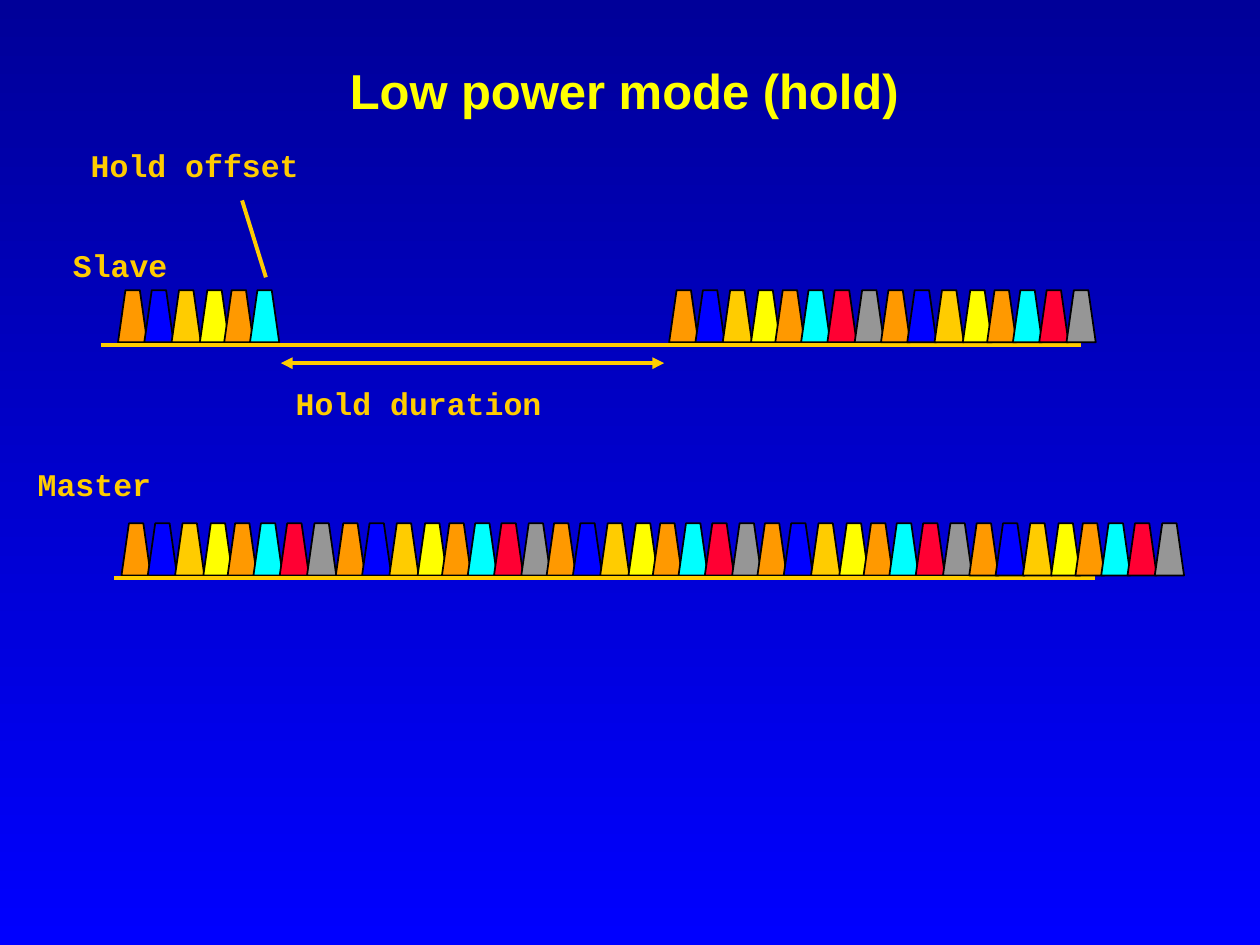
"""Build the slide that shows the hold low power mode of a slave and its master."""
from lxml.etree import SubElement
from pptx import Presentation
from pptx.dml.color import RGBColor
from pptx.enum.shapes import MSO_CONNECTOR
from pptx.enum.text import MSO_ANCHOR, MSO_AUTO_SIZE, PP_ALIGN
from pptx.oxml.ns import qn
from pptx.util import Cm, Pt

NAVY = RGBColor(0x00, 0x00, 0x99)
BLUE = RGBColor(0x00, 0x00, 0xFF)
YELLOW = RGBColor(0xFF, 0xFF, 0x00)
GOLD = RGBColor(0xFF, 0xCC, 0x00)
ORANGE = RGBColor(0xFF, 0x99, 0x00)
CYAN = RGBColor(0x00, 0xFF, 0xFF)
RED = RGBColor(0xFF, 0x00, 0x33)
GREY = RGBColor(0x96, 0x96, 0x96)
BLACK = RGBColor(0x00, 0x00, 0x00)

SLOTS = [
    (0, ORANGE), (0.53, BLUE), (1.08, GOLD), (1.65, YELLOW),
    (2.14, ORANGE), (2.66, CYAN), (3.19, RED), (3.74, GREY),
]
SLOT_WIDTH, SLOT_HEIGHT, SLOT_SLANT = 0.59, 1.05, 0.15
SLAVE_TOP, MASTER_TOP = 5.85, 10.55


def write(frame, text, font="Courier New", size=18, color=GOLD, align=PP_ALIGN.LEFT):
    para = frame.paragraphs[0]
    para.alignment = align
    span = para.add_run()
    span.text = text
    span.font.name = font
    span.font.size = Pt(size)
    span.font.bold = True
    span.font.color.rgb = color


class HoldSlide:
    def __init__(self, deck):
        self.page = deck.slides.add_slide(deck.slide_layouts[5])
        self.line_color = GOLD
        self.line_width = Pt(2.25)

    def background(self, top_color, bottom_color):
        fill = self.page.background.fill
        fill.gradient()
        fill.gradient_angle = 270
        for stop, color in zip(fill.gradient_stops, (top_color, bottom_color)):
            stop.color.rgb = color

    def title(self, text, left, top, width, height):
        box = self.page.shapes.title
        box.left, box.top, box.width, box.height = map(Cm, (left, top, width, height))
        frame = box.text_frame
        frame.margin_left = frame.margin_right = frame.margin_top = frame.margin_bottom = 0
        frame.vertical_anchor = MSO_ANCHOR.MIDDLE
        frame.auto_size = MSO_AUTO_SIZE.NONE
        write(frame, text, font="Arial", size=28, color=YELLOW, align=PP_ALIGN.CENTER)

    def label(self, text, left, top, width):
        box = self.page.shapes.add_textbox(Cm(left), Cm(top), Cm(width), Cm(1.02))
        box.text_frame.word_wrap = False
        box.text_frame.auto_size = MSO_AUTO_SIZE.SHAPE_TO_FIT_TEXT
        write(box.text_frame, text)

    def line(self, start, end, arrows=False):
        connector = self.page.shapes.add_connector(
            MSO_CONNECTOR.STRAIGHT, *map(Cm, (*start, *end)))
        connector.line.color.rgb = self.line_color
        connector.line.width = self.line_width
        properties = connector.element.spPr
        if arrows:
            for tag in ("a:headEnd", "a:tailEnd"):
                SubElement(properties.find(qn("a:ln")), qn(tag), type="triangle")
        SubElement(properties, qn("a:effectLst"))

    def train(self, left, top, count=len(SLOTS)):
        group = self.page.shapes.add_group_shape()
        for offset, color in SLOTS[:count]:
            self.slot(group, left + offset, top, color)

    def slot(self, group, left, top, color):
        right, bottom = left + SLOT_WIDTH, top + SLOT_HEIGHT
        corners = [(left + SLOT_SLANT, top), (right - SLOT_SLANT, top), (right, bottom)]
        builder = group.shapes.build_freeform(Cm(left), Cm(bottom))
        builder.add_line_segments([(Cm(x), Cm(y)) for x, y in corners], close=True)
        shape = builder.convert_to_shape()
        shape.shadow.inherit = False
        shape.fill.solid()
        shape.fill.fore_color.rgb = color
        shape.line.color.rgb = BLACK
        shape.line.width = Pt(1)


def main():
    deck = Presentation()
    deck.slide_width, deck.slide_height = Cm(25.4), Cm(19.05)
    slide = HoldSlide(deck)
    slide.background(NAVY, BLUE)
    slide.title("Low power mode (hold)", 2.74, 1.07, 19.69, 1.47)

    slide.label("Slave", 1.22, 4.83, 2.41)
    slide.label("Hold duration", 5.71, 7.62, 5.46)
    slide.line((5.66, 7.32), (13.39, 7.32), arrows=True)
    slide.label("Hold offset", 1.58, 2.82, 4.7)
    slide.line((4.88, 4.04), (5.36, 5.59))
    slide.label("Master", 0.51, 9.25, 2.79)

    for left in (2.45, 6.77, 11.02, 15.27):
        slide.train(left, MASTER_TOP)
    slide.line((2.3, 11.66), (22.07, 11.66))
    slide.train(19.54, MASTER_TOP)

    slide.train(2.38, SLAVE_TOP, count=6)
    slide.train(13.49, SLAVE_TOP)
    slide.line((2.03, 6.96), (21.79, 6.96))
    slide.train(17.76, SLAVE_TOP)
    deck.save("out.pptx")


if __name__ == "__main__":
    main()
